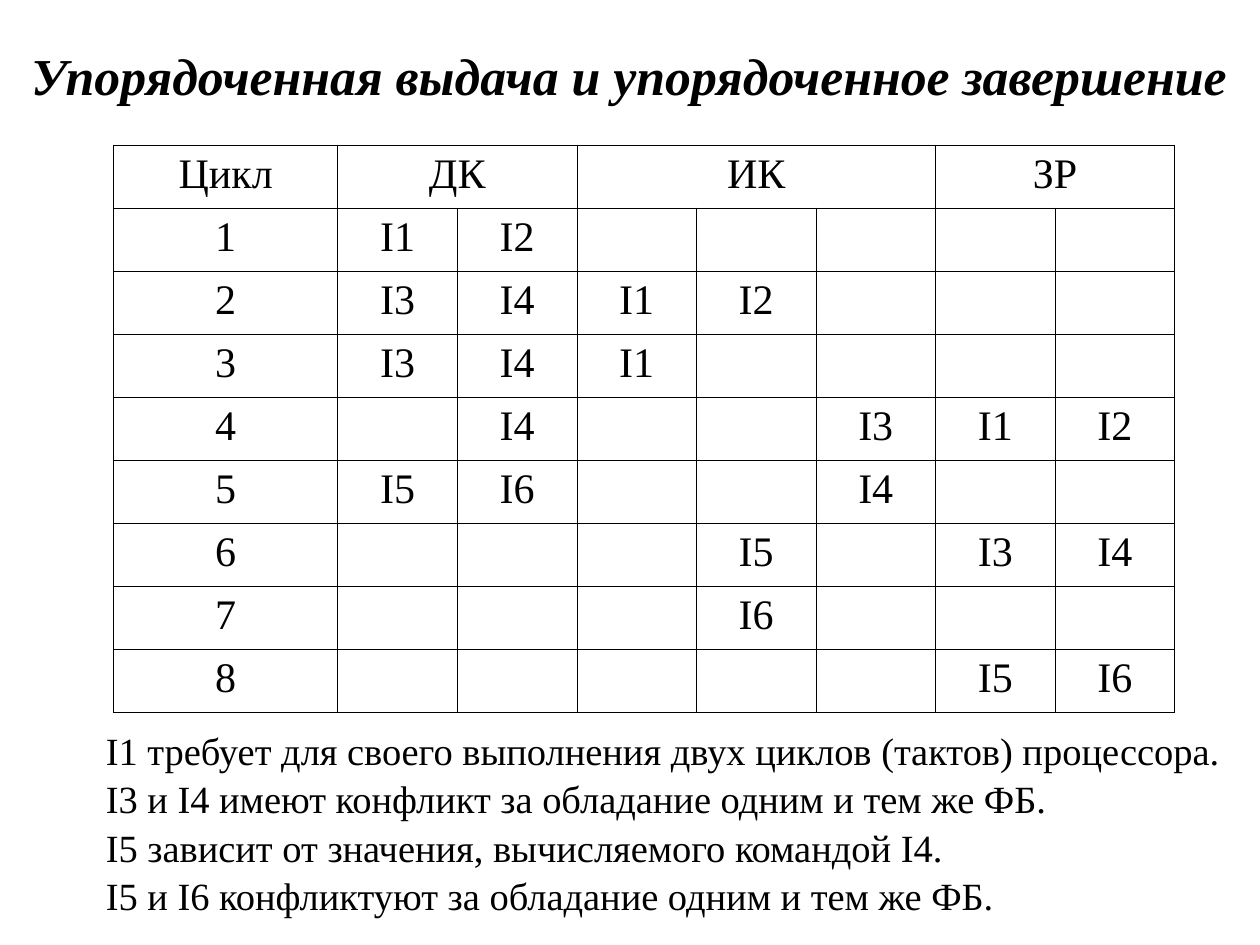
from lxml import etree
from pptx import Presentation
from pptx.dml.color import RGBColor
from pptx.enum.text import MSO_ANCHOR, MSO_AUTO_SIZE, PP_ALIGN
from pptx.oxml.ns import qn
from pptx.util import Cm, Pt

CENTER, LEFT = PP_ALIGN.CENTER, PP_ALIGN.LEFT
MIDDLE, TOP = MSO_ANCHOR.MIDDLE, MSO_ANCHOR.TOP
FIXED = MSO_AUTO_SIZE.NONE
COLORS = {"ink": "000000", "paper": "FFFFFF"}
FONT = "Times New Roman"

TITLE = "Упорядоченная выдача и упорядоченное завершение"
HEADS = [("Цикл", 1), ("ДК", 2), ("ИК", 3), ("ЗР", 2)]
CYCLES = [
    ["I1", "I2", "", "", "", "", ""],
    ["I3", "I4", "I1", "I2", "", "", ""],
    ["I3", "I4", "I1", "", "", "", ""],
    ["", "I4", "", "", "I3", "I1", "I2"],
    ["I5", "I6", "", "", "I4", "", ""],
    ["", "", "", "I5", "", "I3", "I4"],
    ["", "", "", "I6", "", "", ""],
    ["", "", "", "", "", "I5", "I6"],
]
NOTES = [
    "I1 требует для своего выполнения двух циклов (тактов) процессора.",
    "I3 и I4 имеют конфликт за обладание одним и тем же ФБ.",
    "I5 зависит от значения, вычисляемого командой I4.",
    "I5 и I6 конфликтуют за обладание одним и тем же ФБ.",
]


class Deck:
    """Holds the style and the current slide."""

    def __init__(self, wide, high):
        self.prs = Presentation()
        self.prs.slide_width, self.prs.slide_height = Cm(wide), Cm(high)
        self.slide = self.prs.slides.add_slide(self.prs.slide_layouts[1])
        fill = self.slide.background.fill
        fill.solid()
        fill.fore_color.rgb = RGBColor.from_string(COLORS["paper"])

    def text(self, para, words, size, align, bold=False, slant=False):
        para.alignment = align
        run = para.add_run()
        run.text = words
        font = run.font
        font.name, font.size = FONT, Pt(size)
        font.bold, font.italic = bold, slant
        font.color.rgb = RGBColor.from_string(COLORS["ink"])

    def place(self, shape, box, anchor):
        shape.left, shape.top, shape.width, shape.height = map(Cm, box)
        frame = shape.text_frame
        frame.word_wrap, frame.auto_size = True, FIXED
        frame.vertical_anchor = anchor
        return frame

    def title(self, words, box, size):
        frame = self.place(self.slide.shapes.title, box, MIDDLE)
        self.text(frame.paragraphs[0], words, size, CENTER, True, True)

    def body(self, lines, box, size, indent):
        frame = self.place(self.slide.placeholders[1], box, TOP)
        for i, line in enumerate(lines):
            para = frame.add_paragraph() if i else frame.paragraphs[0]
            para.space_before = Pt(1.2)
            self.text(para, line, size, LEFT)
            props = para._p.get_or_add_pPr()
            props.set("marL", str(Cm(indent)))
            props.set("indent", "0")
            etree.SubElement(props, qn("a:buNone"))

    def border(self, cell, width):
        props = cell._tc.get_or_add_tcPr()
        for i, side in enumerate(("lnL", "lnR", "lnT", "lnB")):
            line = etree.Element(qn(f"a:{side}"), w=str(Pt(width)))
            fill = etree.SubElement(line, qn("a:solidFill"))
            etree.SubElement(fill, qn("a:srgbClr"), val=COLORS["ink"])
            props.insert(i, line)

    def table(self, heads, rows, spot, widths, high, size):
        left, top = spot
        count = len(rows) + 1
        frame = self.slide.shapes.add_table(
            count, len(widths), Cm(left), Cm(top), Cm(sum(widths)), Cm(high * count))
        grid = frame.table
        grid.first_row = grid.horz_banding = False
        for col, width in zip(grid.columns, widths):
            col.width = Cm(width)
        for row in grid.rows:
            row.height = Cm(high)
        for cell in grid.iter_cells():
            cell.fill.background()
            self.border(cell, 0.45)
        col = 0
        for words, span in heads:
            cell = grid.cell(0, col)
            if span > 1:
                cell.merge(grid.cell(0, col + span - 1))
            self.text(cell.text_frame.paragraphs[0], words, size, CENTER)
            col += span
        for r, row in enumerate(rows, 1):
            for c, words in enumerate([str(r)] + row):
                if words:
                    para = grid.cell(r, c).text_frame.paragraphs[0]
                    self.text(para, words, size, CENTER)

    def save(self):
        self.prs.save("out.pptx")


def main():
    deck = Deck(25.4, 19.05)
    deck.title(TITLE, (0, 0.2, 25.4, 2.62), 29.6)
    deck.table(HEADS, CYCLES, (2.29, 2.92), [4.52] + [2.41] * 7, 1.27, 24)
    deck.body(NOTES, (0.61, 14.53, 24.61, 4.19), 22, 1.27)
    deck.save()


if __name__ == "__main__":
    main()
